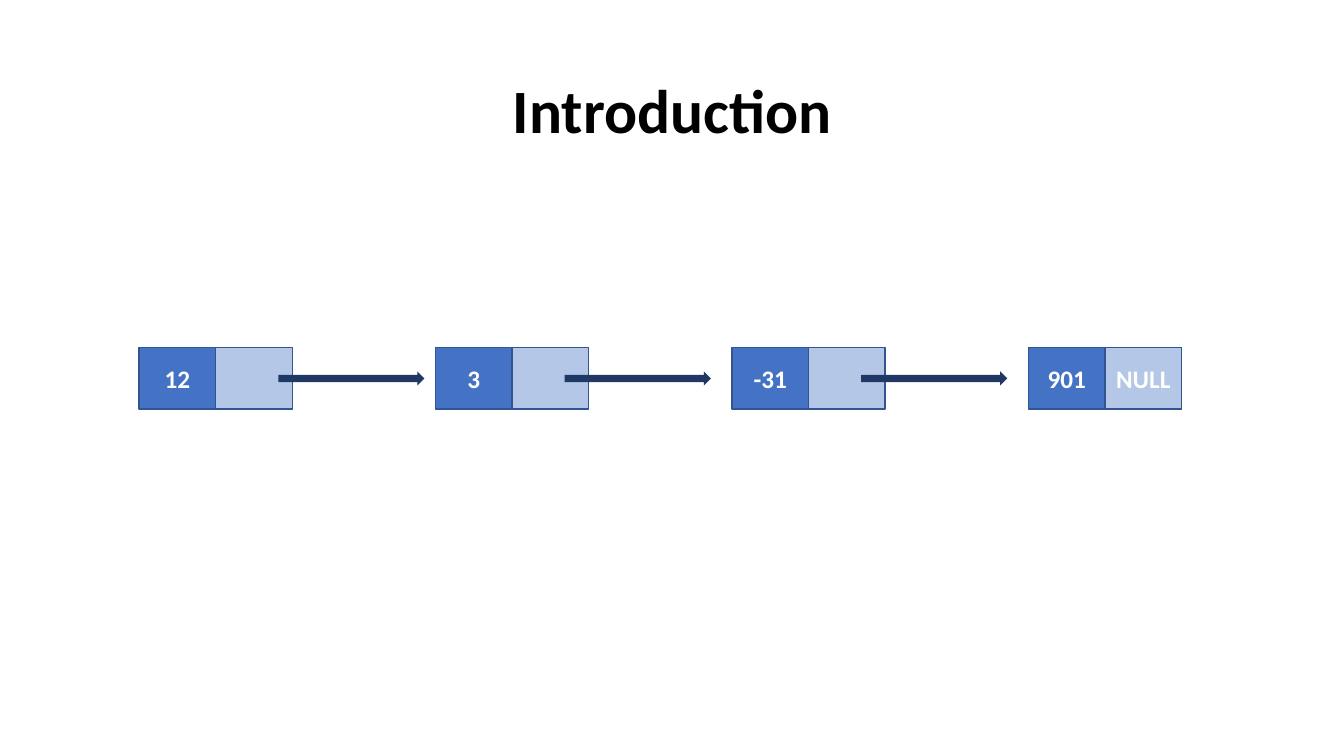
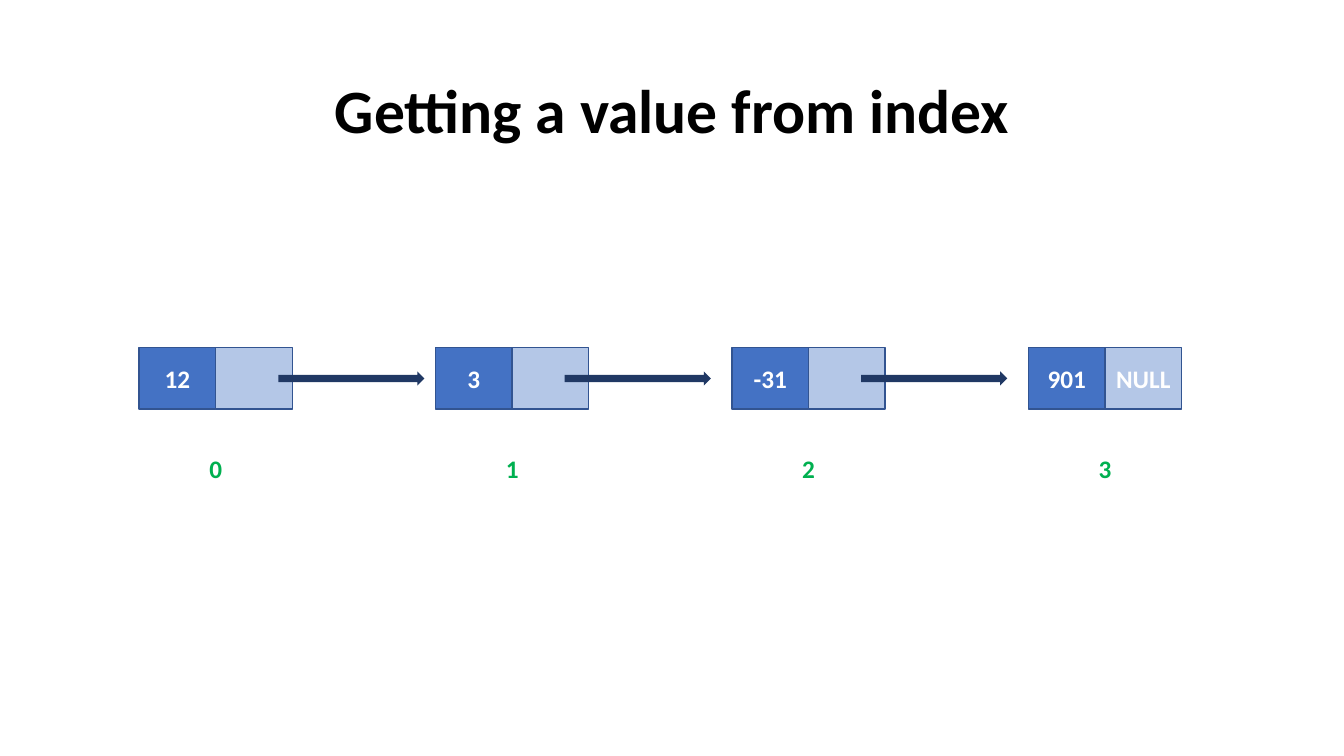
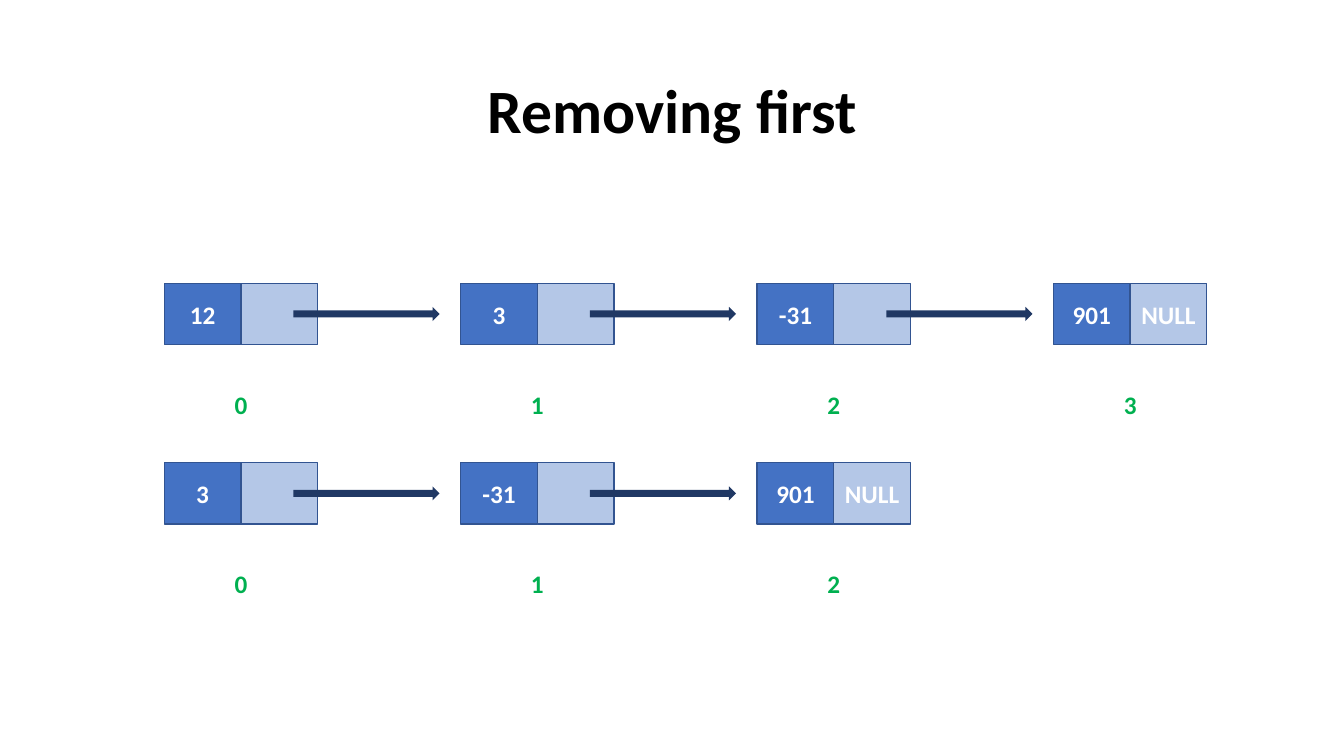
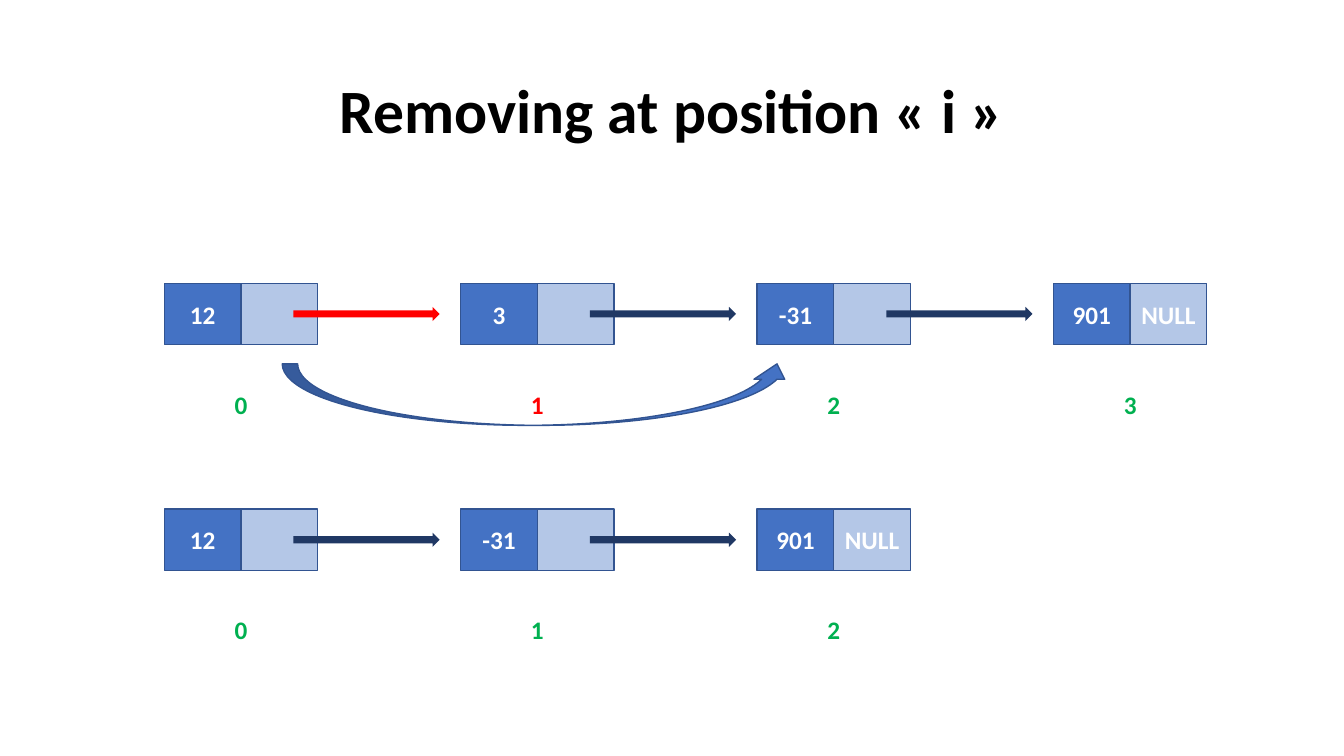
from pptx import Presentation
from pptx.dml.color import RGBColor
from pptx.enum.shapes import MSO_SHAPE
from pptx.enum.text import MSO_ANCHOR, MSO_AUTO_SIZE, PP_ALIGN
from pptx.util import Inches, Pt

RECT = MSO_SHAPE.RECTANGLE
ARROW = MSO_SHAPE.RIGHT_ARROW
CURVE = MSO_SHAPE.CURVED_UP_ARROW
MID, TOP = MSO_ANCHOR.MIDDLE, MSO_ANCHOR.TOP
CENTER = PP_ALIGN.CENTER
FIXED = MSO_AUTO_SIZE.NONE

FULL = ["12", "3", "-31", "901"]
HIGH = dict(left=1.63, top=2.81, values=FULL)
SLIDES = [
    dict(title="Introduction",
         rows=[dict(left=1.38, top=3.45, values=FULL, nudge=0.1, index=False)]),
    dict(title="Getting a value from index",
         rows=[dict(left=1.38, top=3.45, values=FULL, nudge=0.1)]),
    dict(title="Removing first",
         rows=[HIGH, dict(left=1.63, top=4.59, values=FULL[1:])]),
    dict(title="Removing at position « i »",
         rows=[dict(HIGH, cut=1),
               dict(left=1.63, top=5.05, values=["12", "-31", "901"])],
         jump=(2.8, 3.61, 5.06, 0.61)),
]

THEME = dict(
    font="Calibri", head=44, body=18,
    ink="000000", light="FFFFFF", data="4472C4", link="B4C7E7",
    edge="325491", arrow="203864", index="00B050", gone="FF0000",
)
SIZE = (13.33, 7.5)
TITLE = (0.92, 0.4, 11.5, 1.45)
PITCH = 2.94
CELL = (0.76, 0.61)
SHAFT = (1.45, 0.14)
START = 1.28
LABEL = (0.83, 0.4)
DROP = 1.0


def color(name):
    return RGBColor.from_string(THEME[name])


def place(item, box):
    for name, size in zip(("left", "top", "width", "height"), box):
        setattr(item, name, Inches(size))


def write(frame, text, size, ink, anchor=MID, space=1.0, inset=0.05):
    look = dict(word_wrap=True, auto_size=FIXED, vertical_anchor=anchor,
                margin_left=Inches(inset), margin_right=Inches(inset))
    for name, value in look.items():
        setattr(frame, name, value)
    para = frame.paragraphs[0]
    para.alignment, para.line_spacing = CENTER, space
    run = para.add_run()
    run.text = text
    for name, value in dict(name=THEME["font"], size=Pt(THEME[size]), bold=True).items():
        setattr(run.font, name, value)
    run.font.color.rgb = color(ink)


def draw(shapes, kind, box, fill, edge=True):
    item = shapes.add_shape(kind, *map(Inches, box))
    item.shadow.inherit = False
    item.fill.solid()
    item.fill.fore_color.rgb = color(fill)
    if edge:
        item.line.color.rgb = color("edge")
        item.line.width = Pt(1)
    else:
        item.line.fill.background()
    return item


def add_node(slide, left, top, value, last, nudge, shaft):
    wide, high = CELL
    group = slide.shapes.add_group_shape().shapes
    cells = [(value, "data"), ("NULL" if last else "", "link")]
    for col, (text, fill) in enumerate(cells):
        cell = draw(group, RECT, (left + col * wide, top, wide, high), fill)
        if text:
            write(cell.text_frame, text, "body", "light")
    if not last:
        mid = top + (high - SHAFT[1]) / 2
        draw(group, ARROW, (left + START + nudge, mid, *SHAFT), shaft, edge=False)


def add_row(slide, left, top, values, nudge=0, index=True, cut=None):
    for pos, value in enumerate(values):
        x = left + pos * PITCH
        last = pos == len(values) - 1
        shaft = "gone" if pos + 1 == cut else "arrow"
        add_node(slide, x, top, value, last, 0 if pos else nudge, shaft)
        if index:
            spot = (x + CELL[0] - LABEL[0] / 2, top + DROP, *LABEL)
            label = slide.shapes.add_textbox(*map(Inches, spot))
            write(label.text_frame, str(pos), "body",
                  "gone" if pos == cut else "index", TOP, inset=0.1)


def main():
    deck = Presentation()
    deck.slide_width, deck.slide_height = map(Inches, SIZE)
    layout = deck.slide_layouts[5]
    place(layout.placeholders[0], TITLE)
    for page in SLIDES:
        slide = deck.slides.add_slide(layout)
        write(slide.shapes.title.text_frame, page["title"], "head", "ink",
              space=0.9, inset=0.1)
        for row in page["rows"]:
            add_row(slide, **row)
        if "jump" in page:
            draw(slide.shapes, CURVE, page["jump"], "data")
    deck.save("out.pptx")


if __name__ == "__main__":
    main()
